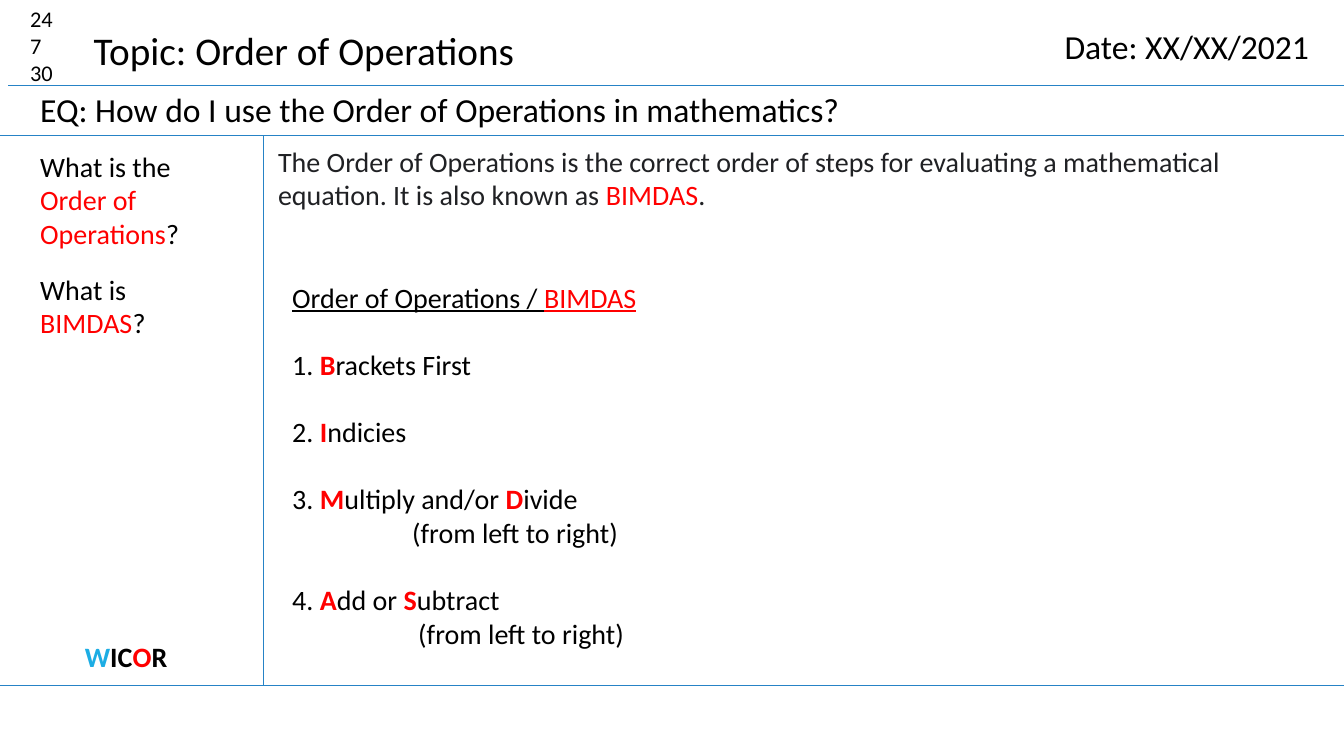
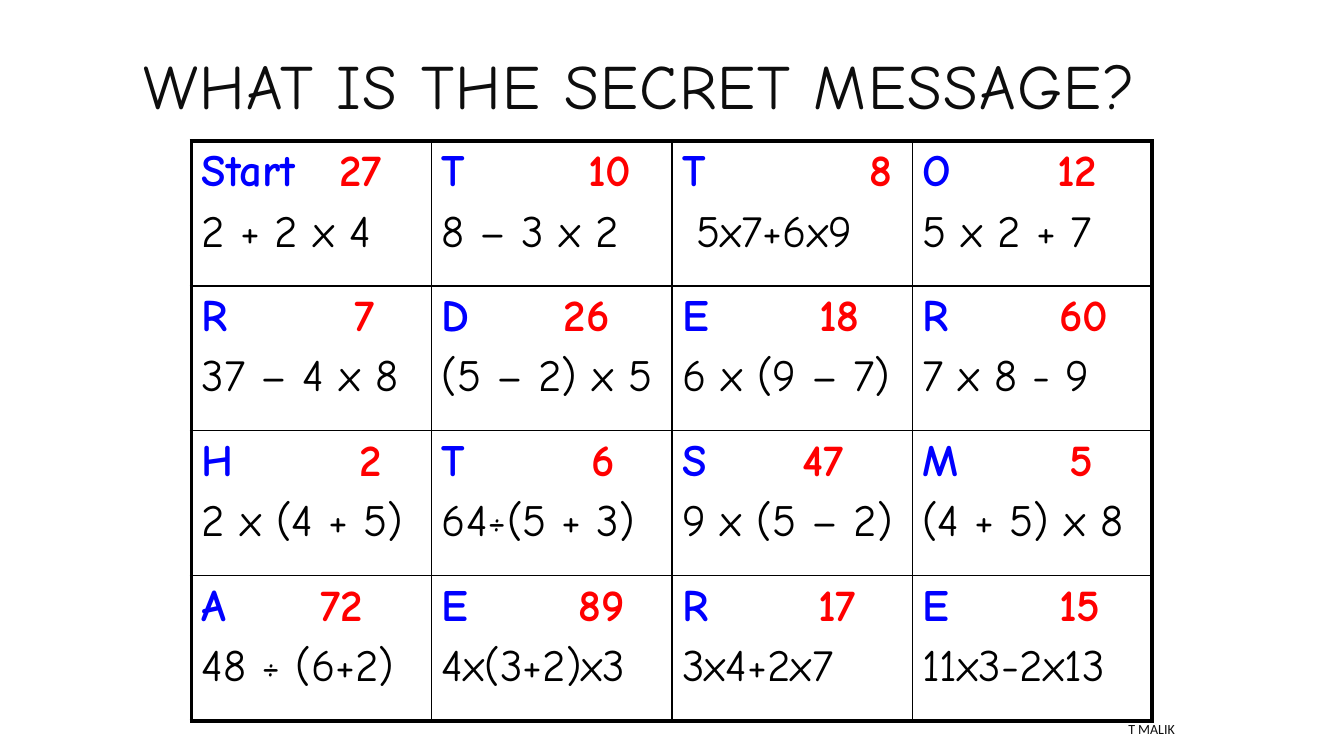
from lxml.etree import SubElement
from pptx import Presentation
from pptx.dml.color import RGBColor
from pptx.enum.shapes import MSO_CONNECTOR
from pptx.enum.text import MSO_ANCHOR, PP_ALIGN
from pptx.oxml import parse_xml
from pptx.oxml.ns import nsdecls, qn
from pptx.util import Inches, Pt

COLORS = {"ink": "000000", "soft": "0D0D0D", "grey": "202124", "key": "FF0000",
          "rule": "2683C6", "sky": "1CADE4", "letter": "0000FF"}
BODY, HAND = "Calibri", "Comic Neue"

# A run is plain text, or (text, colour, style letters: b bold, u underline)
RULES = [((0.08, 0.85), (13.33, 0.85)), ((0, 1.34), (13.33, 1.34)),
         ((2.61, 1.34), (2.61, 6.8)), ((0, 6.8), (13.33, 6.8))]

# (box, size, paragraphs)
NOTES = [
    ((0.2, 0, 0.63, 0.91), 16, [["24"], ["7"], ["30"]]),
    ((0.3, 0.83, 11.64, 0.5), 24,
     [["EQ: How do I use the Order of Operations in mathematics?"]]),
    ((10.46, 0.21, 2.78, 0.5), 24, [["Date: XX/XX/2021"]]),
    ((0.3, 1.43, 2.12, 1.11), 20,
     [["What is the ", ("Order of Operations", "key"), "?"]]),
    ((0.3, 2.65, 1.69, 0.77), 20, [["What is ", ("BIMDAS", "key"), "?"]]),
    ((2.66, 1.38, 10.5, 0.77), 20,
     [[("The Order of Operations is the correct order of steps for evaluating "
        "a mathematical equation. It is also known as ", "grey"),
       ("BIMDAS", "key"), (".", "grey")]]),
]
WICOR = [("W", "sky", "b"), ("IC", "ink", "b"), ("O", "key", "b"), ("R", "ink", "b")]

# (space before in points, left indent in inches, runs)
STEPS = [
    (0, 0, [("Order of Operations / ", "ink", "u"), ("BIMDAS", "key", "u")]),
    (24, 0, ["1. ", ("B", "key", "b"), "rackets First"]),
    (24, 0, ["2. ", ("I", "key", "b"), "ndicies"]),
    (24, 0, ["3. ", ("M", "key", "b"), "ultiply and/or ", ("D", "key", "b"), "ivide"]),
    (0, 1.19, ["(from left to right)"]),
    (24, 0, ["4. ", ("A", "key", "b"), "dd or ", ("S", "key", "b"), "ubtract"]),
    (0, 1.25, ["(from left to right)"]),
]

# (letter, answer, tab position of the answer in inches, sum)
CARDS = [
    [("Start", "27", 1.37, "2 + 2 x 4"), ("T", "10", 1.45, "8 – 3 x 2"),
     ("T", "8", 1.86, "5x7+6x9"), ("O", "12", 1.34, "5 x 2 + 7")],
    [("R", "7", 1.52, "37 – 4 x 8"), ("D", "26", 1.21, "(5 – 2) x 5"),
     ("E", "18", 1.36, "6 x (9 – 7)"), ("R", "60", 1.36, "7 x 8 - 9")],
    [("H", "2", 1.57, "2 x (4 + 5)"), ("T", "6", 1.48, "64÷(5 + 3)"),
     ("S", "47", 1.19, "9 x (5 – 2)"), ("M", "5", 1.46, "(4 + 5) x 8")],
    [("A", "72", 1.18, "48 ÷ (6+2)"), ("E", "89", 1.36, "4x(3+2)x3"),
     ("R", "17", 1.35, "3x4+2x7"), ("E", "15", 1.36, "11x3-2x13")],
]
SUM_INDENTS = {(0, 2): 0.14}


def add_runs(p, runs, size, font=BODY):
    for run in runs:
        text, color, style = ((run,) if isinstance(run, str) else run) + ("ink", "")[
            (0 if isinstance(run, str) else len(run) - 1):]
        r = p.add_run()
        r.text = text
        r.font.name, r.font.size = font, Pt(size)
        r.font.color.rgb = RGBColor.from_string(COLORS[color])
        r.font.bold, r.font.underline = "b" in style, "u" in style


def next_paragraph(tf, index):
    return tf.add_paragraph() if index else tf.paragraphs[0]


def set_indent(p, inches):
    pPr = p._p.get_or_add_pPr()
    pPr.set("marL", str(Inches(inches)))
    pPr.set("indent", "0")


def add_text(s, box, size, paragraphs, font=BODY, align=PP_ALIGN.LEFT,
             anchor=MSO_ANCHOR.TOP, wrap=True):
    tf = s.shapes.add_textbox(*map(Inches, box)).text_frame
    tf.word_wrap, tf.vertical_anchor = wrap, anchor
    for i, runs in enumerate(paragraphs):
        p = next_paragraph(tf, i)
        p.alignment = align
        add_runs(p, runs, size, font)
    return tf


def add_rule(s, start, end):
    line = s.shapes.add_connector(MSO_CONNECTOR.STRAIGHT, *map(Inches, start + end))
    line.line.color.rgb = RGBColor.from_string(COLORS["rule"])
    line.line.width = Pt(0.75)
    SubElement(line._element.spPr, qn("a:effectLst"))


def set_borders(cell, widths):
    tcPr = cell._tc.get_or_add_tcPr()
    for i, (side, width) in enumerate(zip("LRTB", widths)):
        tcPr.insert(i, parse_xml(
            f'<a:ln{side} {nsdecls("a")} w="{Pt(width)}"><a:solidFill>'
            f'<a:srgbClr val="{COLORS["ink"]}"/></a:solidFill></a:ln{side}>'))


def fill_card(cell, card, indent):
    letter, answer, tab, task = card
    tf = cell.text_frame
    p = tf.paragraphs[0]
    tabs = SubElement(p._p.get_or_add_pPr(), qn("a:tabLst"))
    SubElement(tabs, qn("a:tab"), pos=str(Inches(tab)), algn="l")
    add_runs(p, [(letter + "\t", "letter", "b"), (answer, "key", "b")], 32, HAND)
    p = tf.add_paragraph()
    p.space_before = Pt(6.4)
    set_indent(p, indent)
    add_runs(p, [task], 32, HAND)


def build_notes(s):
    for start, end in RULES:
        add_rule(s, start, end)
    for box, size, paragraphs in NOTES:
        add_text(s, box, size, paragraphs)
    add_text(s, (0.83, 0.21, 4.42, 0.57), 28, [["Topic: Order of Operations"]], wrap=False)
    add_text(s, (0.14, 6.3, 2.22, 0.44), 20, [WICOR], align=PP_ALIGN.CENTER)
    # Numbered steps
    tf = add_text(s, (2.8, 2.73, 8.27, 3.8), 20, [runs for _, _, runs in STEPS])
    for p, (before, indent, _) in zip(tf.paragraphs, STEPS):
        if before:
            p.space_before = Pt(before)
        set_indent(p, indent)


def build_puzzle(s):
    add_text(s, (5.3, 7.08, 6.45, 0.3), 10, [[("T MALIK", "soft")]],
             align=PP_ALIGN.RIGHT, anchor=MSO_ANCHOR.MIDDLE)
    tf = add_text(s, (1.33, 0.28, 12, 1.25), 45, [[("WHAT IS THE SECRET MESSAGE?", "soft")]],
                  HAND, anchor=MSO_ANCHOR.MIDDLE)
    p = tf.paragraphs[0]
    p.line_spacing = 0.8
    p.runs[0]._r.get_or_add_rPr().set("spc", "100")
    # Card grid: thick outer frame, thin inner lines
    rows, cols = len(CARDS), len(CARDS[0])
    table = s.shapes.add_table(rows, cols, *map(Inches, (1.9, 1.4, 9.53, 5.75))).table
    table.first_row = table.horz_banding = False
    for r, row in enumerate(CARDS):
        for c, card in enumerate(row):
            cell = table.cell(r, c)
            cell.fill.background()
            edges = (c == 0, c == cols - 1, r == 0, r == rows - 1)
            set_borders(cell, [3 if outer else 1 for outer in edges])
            fill_card(cell, card, SUM_INDENTS.get((r, c), 0))


def main():
    prs = Presentation()
    prs.slide_width, prs.slide_height = Inches(13.33), Inches(7.5)
    for build in (build_notes, build_puzzle):
        build(prs.slides.add_slide(prs.slide_layouts[6]))
    prs.save("out.pptx")


if __name__ == "__main__":
    main()
